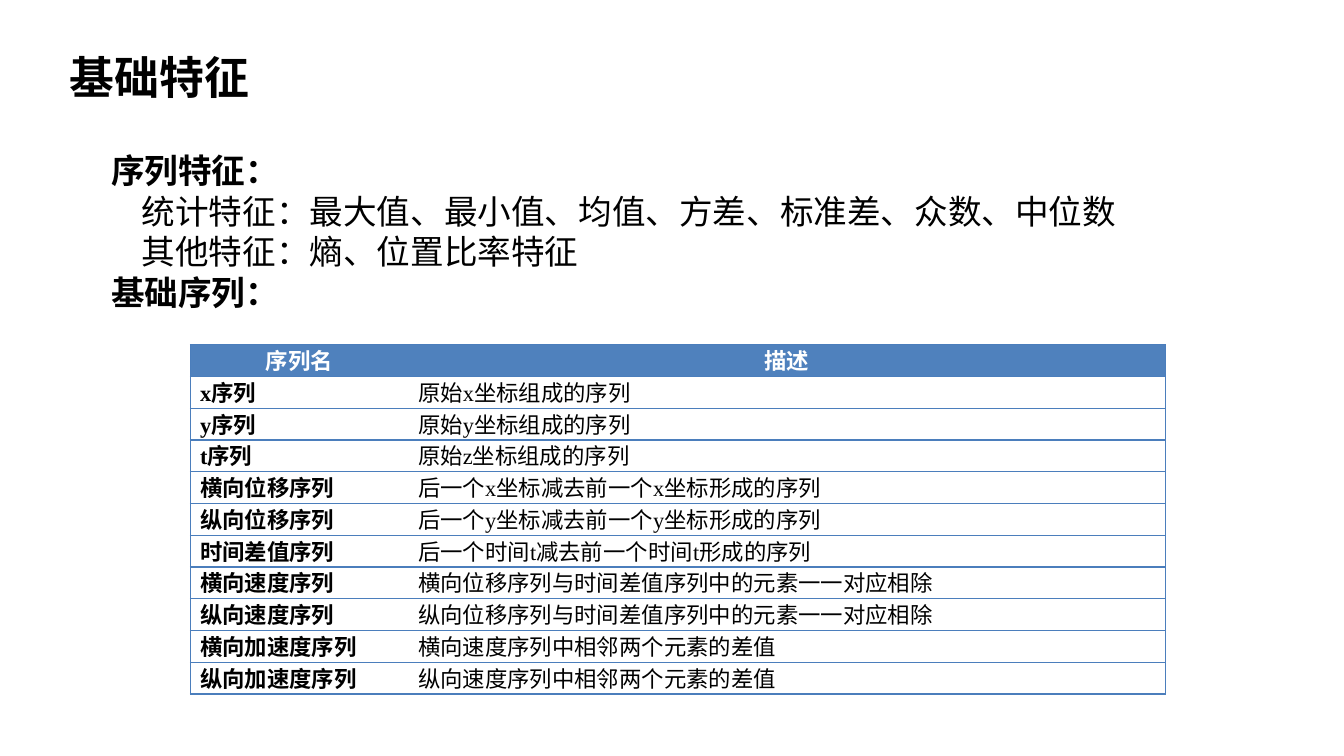
"""Build the slide on basic features with its table of base sequences."""
from dataclasses import dataclass

from lxml.etree import SubElement
from pptx import Presentation
from pptx.dml.color import RGBColor
from pptx.enum.text import PP_ALIGN
from pptx.oxml import parse_xml
from pptx.oxml.ns import nsdecls, qn
from pptx.util import Cm, Pt


@dataclass(frozen=True)
class Theme:
    cjk: str = "Noto Sans CJK SC"
    serif: str = "Times New Roman"
    ink: str = "000000"
    white: str = "FFFFFF"
    header: str = "4F81BD"
    border: str = "4B7EBC"
    title: int = 24
    body: int = 18
    cell: int = 12


class Deck:
    def __init__(self, theme, width, height):
        self.theme = theme
        self.prs = Presentation()
        self.prs.slide_width, self.prs.slide_height = width, height
        self.s = self.prs.slides.add_slide(self.prs.slide_layouts[6])

    def style(self, p, size, bold, leading, color=None, latin=None):
        p.line_spacing = Pt(leading)
        for r in p.runs:
            r.font.size, r.font.bold = Pt(size), bold
            r.font.color.rgb = RGBColor.from_string(color or self.theme.ink)
            r.font.name = latin or self.theme.cjk
            SubElement(r.font._element, qn("a:ea")).set("typeface", self.theme.cjk)

    def text(self, box, lines, size):
        """Add a text box from (text, bold, indent) lines."""
        tf = self.s.shapes.add_textbox(*map(Cm, box)).text_frame
        tf.word_wrap = True
        tf.text = "\n".join(line for line, _, _ in lines)
        for p, (_, bold, indent) in zip(tf.paragraphs, lines):
            p._p.get_or_add_pPr().set("marL", str(Cm(indent)))
            self.style(p, size, bold, size * 1.21)

    def borders(self, cell, visible):
        tc_pr = cell._tc.get_or_add_tcPr()
        for i, side in enumerate("LRTB"):
            fill = (f'<a:solidFill><a:srgbClr val="{self.theme.border}"/></a:solidFill>'
                    if side in visible else "<a:noFill/>")
            tc_pr.insert(i, parse_xml(
                f'<a:ln{side} {nsdecls("a")} w="{Pt(0.75)}">{fill}</a:ln{side}>'))

    def table(self, left, top, widths, row_height, rows):
        t = self.theme
        table = self.s.shapes.add_table(
            len(rows), len(widths), Cm(left), Cm(top),
            Cm(sum(widths)), Cm(row_height * len(rows))).table
        table.first_row = table.horz_banding = False
        for col, width in zip(table.columns, widths):
            col.width = Cm(width)
        for i, row in enumerate(rows):
            table.rows[i].height = Cm(row_height)
            for j, value in enumerate(row):
                cell, head = table.cell(i, j), i == 0
                cell.margin_left = cell.margin_right = Cm(0.18)
                cell.margin_top = cell.margin_bottom = 0
                cell.text = value
                p = cell.text_frame.paragraphs[0]
                p.alignment = PP_ALIGN.CENTER if head else PP_ALIGN.JUSTIFY
                self.style(p, t.cell, head or j == 0, t.cell * 1.4,
                           t.white if head else t.ink, t.cjk if head else t.serif)
                if head:
                    cell.fill.solid()
                    cell.fill.fore_color.rgb = RGBColor.from_string(t.header)
                else:
                    cell.fill.background()
                self.borders(cell, "TBL" if j == 0 else "TBR")


def main():
    theme = Theme()
    deck = Deck(theme, Cm(25.4), Cm(14.28))
    deck.text((1.07, 0.8, 17.78, 1.26), [("基础特征", True, 0)], theme.title)
    deck.text((1.85, 2.7, 20.4, 3.33), [
        ("序列特征：", True, 0),
        ("统计特征：最大值、最小值、均值、方差、标准差、众数、中位数", False, 0.58),
        ("其他特征：熵、位置比率特征", False, 0.58),
        ("基础序列：", True, 0),
    ], theme.body)
    deck.table(3.6, 6.51, (4.12, 14.3), 0.6, [
        ("序列名", "描述"),
        ("x序列", "原始x坐标组成的序列"),
        ("y序列", "原始y坐标组成的序列"),
        ("t序列", "原始z坐标组成的序列"),
        ("横向位移序列", "后一个x坐标减去前一个x坐标形成的序列"),
        ("纵向位移序列", "后一个y坐标减去前一个y坐标形成的序列"),
        ("时间差值序列", "后一个时间t减去前一个时间t形成的序列"),
        ("横向速度序列", "横向位移序列与时间差值序列中的元素一一对应相除"),
        ("纵向速度序列", "纵向位移序列与时间差值序列中的元素一一对应相除"),
        ("横向加速度序列", "横向速度序列中相邻两个元素的差值"),
        ("纵向加速度序列", "纵向速度序列中相邻两个元素的差值"),
    ])
    deck.prs.save("out.pptx")


if __name__ == "__main__":
    main()
